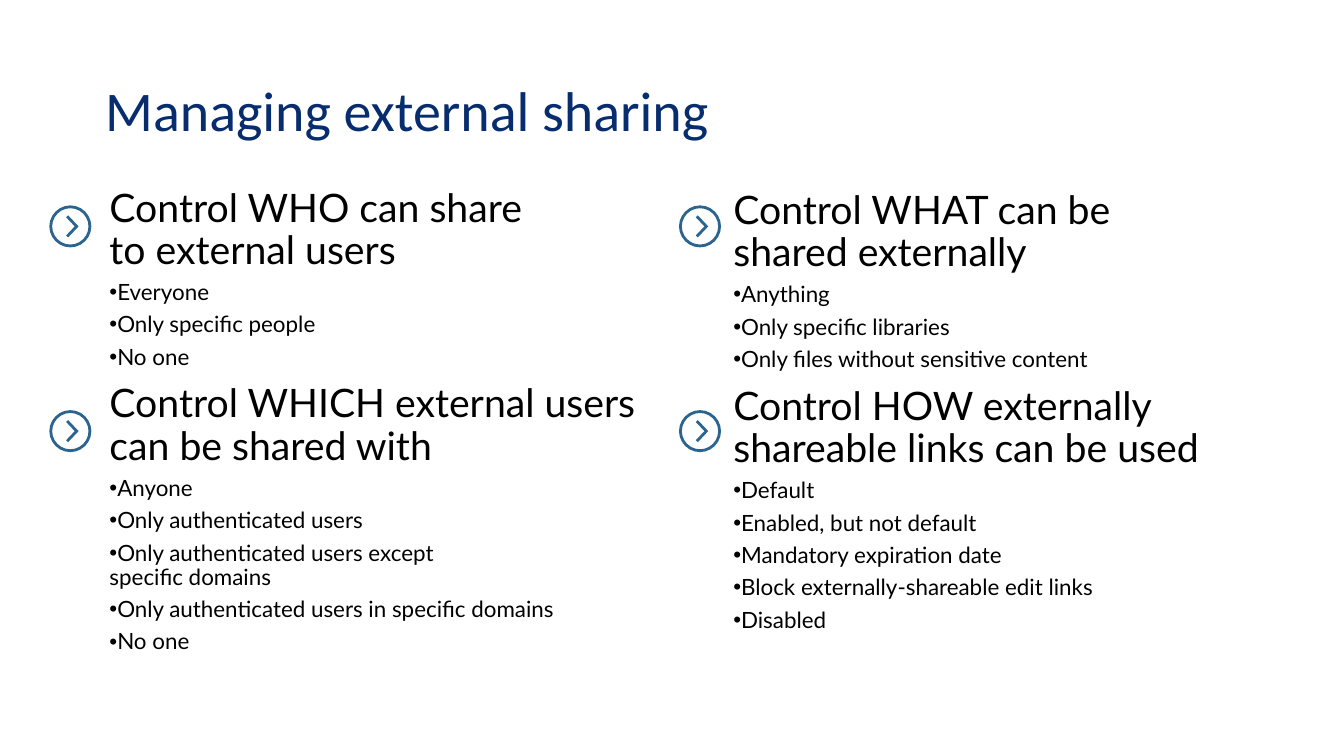
from lxml.etree import Element, SubElement
from pptx import Presentation
from pptx.dml.color import RGBColor as Rgb
from pptx.enum.text import MSO_ANCHOR as Anchor
from pptx.oxml.ns import qn
from pptx.util import Cm, Pt

TITLE = "Managing external sharing"
LEFT = [
    ("Control WHO can share \nto external users",
     ["Everyone", "Only specific people", "No one"]),
    ("Control WHICH external users can be shared with",
     ["Anyone", "Only authenticated users",
      "Only authenticated users except \nspecific domains",
      "Only authenticated users in specific domains", "No one"]),
]
RIGHT = [
    ("Control WHAT can be \nshared externally",
     ["Anything", "Only specific libraries",
      "Only files without sensitive content"]),
    ("Control HOW externally shareable links can be used",
     ["Default", "Enabled, but not default", "Mandatory expiration date",
      "Block externally-shareable edit links", "Disabled"]),
]
THEME = {
    "title": {"name": "Calibri", "size": Pt(30), "color": Rgb(7, 45, 111)},
    "head": {"name": "Lato", "size": Pt(21), "color": Rgb(0, 0, 0)},
    "item": {"name": "Lato", "size": Pt(12), "color": Rgb(0, 0, 0)},
    "icon": Rgb(43, 101, 143),
    "bullet": "Arial",
}
GAPS = {"head": Pt(7.5), "item": Pt(4.4)}
PAD = {"margin_left": Cm(0.38), "margin_right": Cm(0.38),
       "margin_top": Cm(0.3), "margin_bottom": Cm(0.3)}
COLS = [
    (LEFT, (1.69, 3.26, 10.85, 9.7), PAD, 1.33),
    (RIGHT, (13.61, 3.48, 11.2, 9.07), {}, 13.23),
]
ROWS = [4.28, 8.15]
RADIUS = 0.37
RING = [(0, -RADIUS), (RADIUS, 0), (0, RADIUS), (-RADIUS, 0), (0, -RADIUS)]
ARROW = [(-0.06, 0.19), (0.12, 0), (-0.06, -0.19)]
TURN = 5400000


def add_box(slide, area, pad):
    """Add a wrapping text box and return its frame."""
    frame = slide.shapes.add_textbox(*map(Cm, area)).text_frame
    for key, val in {"word_wrap": True, **pad}.items():
        setattr(frame, key, val)
    return frame


def write(para, text, role):
    """Fill a paragraph with text in the style of its role."""
    para.text = text
    para.line_spacing = 0.9
    if role == "item":
        props = para._p.get_or_add_pPr()
        props.set("marL", "0")
        props.set("indent", str(-Cm(0.48)))
        SubElement(props, qn("a:buFont")).set("typeface", THEME["bullet"])
        SubElement(props, qn("a:buChar")).set("char", "•")
    for part in (para, *para.runs):
        for key, val in THEME[role].items():
            if key == "color":
                part.font.color.rgb = val
            else:
                setattr(part.font, key, val)


def fill_box(frame, groups):
    """Write headings with their bulleted items."""
    lines = [(text, role) for head, items in groups
             for text, role in [(head, "head"), *((i, "item") for i in items)]]
    for num, (text, role) in enumerate(lines):
        para = frame.add_paragraph() if num else frame.paragraphs[0]
        if num:
            para.space_before = GAPS[role]
        write(para, text, role)


def bend(icon):
    """Turn the four ring sides into quarter arcs."""
    sides = list(icon._element.iter(qn("a:lnTo")))[:4]
    for num, side in enumerate(sides):
        arc = Element(qn("a:arcTo"))
        vals = {"wR": Cm(RADIUS), "hR": Cm(RADIUS),
                "stAng": (num + 3) % 4 * TURN, "swAng": TURN}
        for key, val in vals.items():
            arc.set(key, str(int(val)))
        side.getparent().replace(side, arc)


def add_icon(slide, x, y):
    """Draw a ring with an arrowhead around a centre point."""
    ring, arrow = ([(Cm(x + dx), Cm(y + dy)) for dx, dy in pts]
                   for pts in (RING, ARROW))
    pen = slide.shapes.build_freeform(*ring[0])
    pen.add_line_segments(ring[1:], close=True)
    pen.move_to(*arrow[0])
    pen.add_line_segments(arrow[1:], close=False)
    icon = pen.convert_to_shape()
    bend(icon)
    icon.shadow.inherit = False
    icon.fill.background()
    icon.line.color.rgb = THEME["icon"]
    icon.line.width = Pt(1.5)
    line = icon._element.spPr.find(qn("a:ln"))
    SubElement(line, qn("a:miter")).set("lim", "800000")


def main():
    """Build the slide and save it."""
    deck = Presentation()
    deck.slide_width, deck.slide_height = Cm(25.4), Cm(14.29)
    slide = deck.slides.add_slide(deck.slide_layouts[6])
    frame = add_box(slide, (1.74, 0.76, 21.89, 2.77),
                    {"vertical_anchor": Anchor.MIDDLE})
    write(frame.paragraphs[0], TITLE, "title")
    for groups, area, pad, x in COLS:
        fill_box(add_box(slide, area, pad), groups)
        for y in ROWS:
            add_icon(slide, x, y)
    deck.save("out.pptx")


if __name__ == "__main__":
    main()
